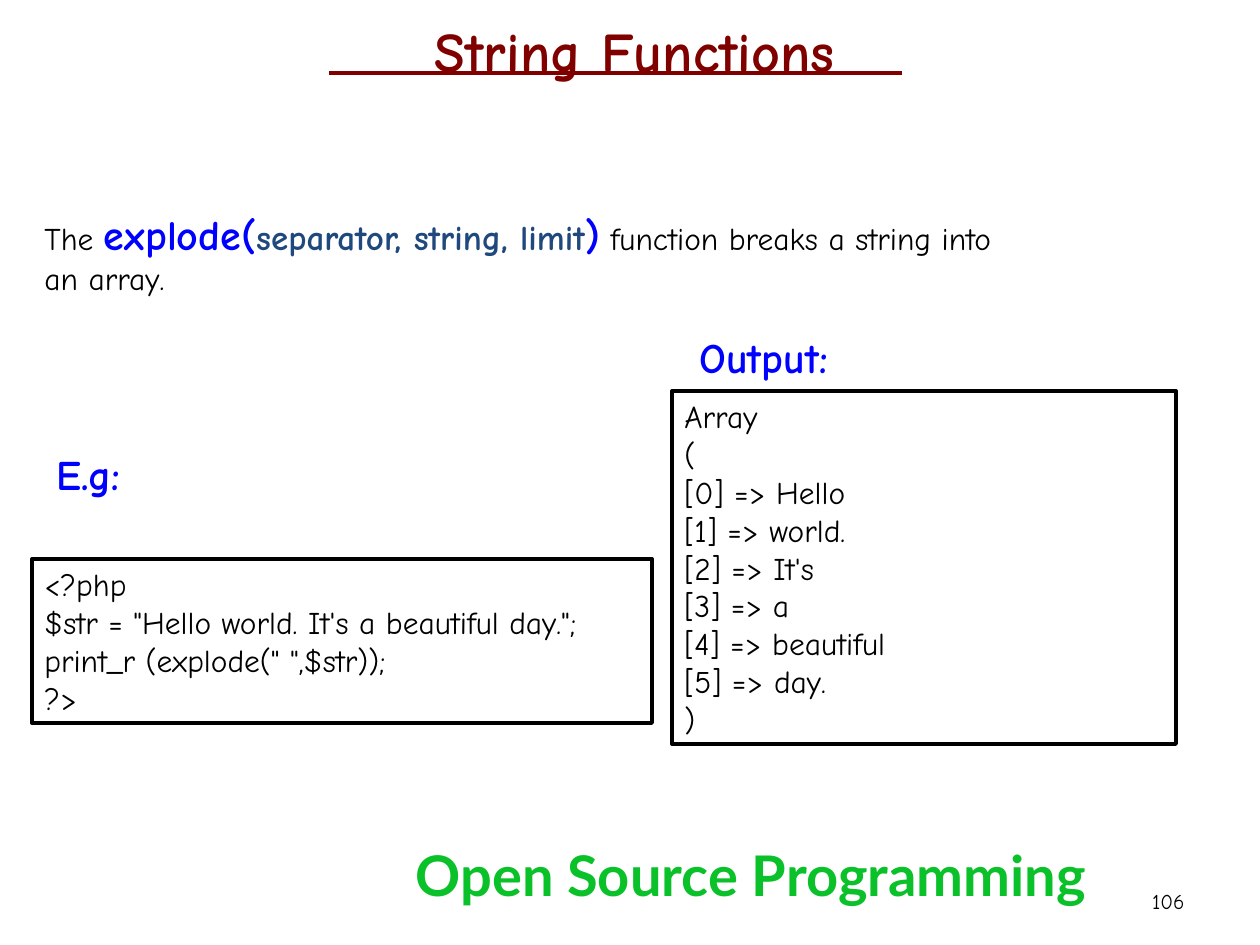
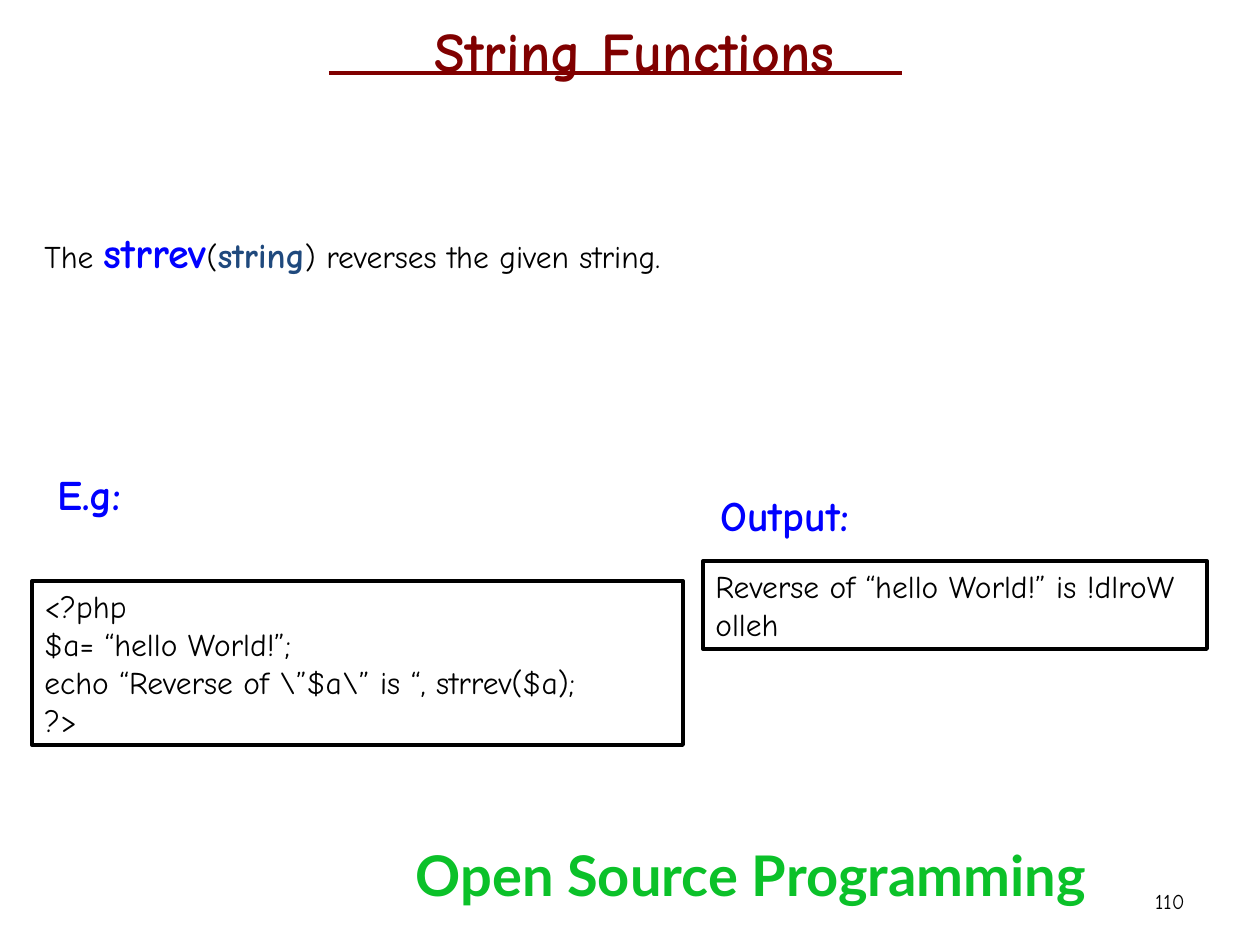
from lxml.etree import SubElement
from pptx import Presentation
from pptx.dml.color import RGBColor
from pptx.enum.shapes import MSO_CONNECTOR as Link, MSO_SHAPE as Kind
from pptx.enum.text import MSO_ANCHOR as Anchor, PP_ALIGN as Align
from pptx.oxml.ns import qn
from pptx.util import Pt

INK = {
    "text": "000000",
    "paper": "FFFFFF",
    "title": "800000",
    "key": "0000FF",
    "param": "1F497D",
    "foot": "0BC129",
}
HAND = "Comic Neue"
SANS = "Lato"

STYLES = {
    "plain": (18, "text", False, HAND),
    "name": (24, "key", True, HAND),
    "param": (20, "param", True, HAND),
    "title": (32, "title", True, HAND),
    "foot": (32, "foot", True, SANS),
    "page": (12, "text", False, HAND),
}

PAGES = [
    {
        "page": "106",
        "box": (32, 202, 998, 101),
        "runs": [
            ("The ", "plain"),
            ("explode(", "name"),
            ("separator, string, limit", "param"),
            (")", "name"),
            (" function breaks a string into an array.", "plain"),
        ],
        "panels": [
            ("E.g:", (32, 559, 620, 164), (12, -117), [
                "<?php",
                "$str = \"Hello world. It's a beautiful day.\";",
                "print_r (explode(\" \",$str));",
                "?>",
            ]),
            ("Output:", (672, 391, 504, 353), (15, -66), [
                "Array",
                "(",
                "[0] => Hello",
                "[1] => world.",
                "[2] => It's",
                "[3] => a",
                "[4] => beautiful",
                "[5] => day.",
                ")",
            ]),
        ],
    },
    {
        "page": "110",
        "box": (32, 220, 998, 63),
        "runs": [
            ("The ", "plain"),
            ("strrev", "name"),
            ("(", "plain"),
            ("string", "param"),
            (") reverses the given string.", "plain"),
        ],
        "panels": [
            ("E.g:", (32, 581, 651, 164), (13, -119), [
                "<?php",
                "$a= “hello World!”;",
                "echo “Reverse of \\”$a\\” is “, strrev($a);",
                "?>",
            ]),
            ("Output:", (703, 561, 504, 88), (5, -78), [
                "Reverse of “hello World!” is !dlroW olleh",
            ]),
        ],
    },
]


def px(count):
    return round(count * 914400 / 126)


def tint(name):
    return RGBColor.from_string(INK[name])


def dress(font, style):
    size, ink, bold, face = STYLES[style]
    font.size = Pt(size)
    font.color.rgb = tint(ink)
    font.bold = bold
    font.name = face


def write(slide, box, runs, align=Align.LEFT, anchor=Anchor.TOP):
    frame = slide.shapes.add_textbox(*map(px, box)).text_frame
    frame.word_wrap = True
    frame.vertical_anchor = anchor
    para = frame.paragraphs[0]
    para.alignment = align
    for text, style in runs:
        run = para.add_run()
        run.text = text
        dress(run.font, style)


def head(slide, box):
    left, top, wide, high = box
    write(slide, box, [("String Functions", "title")], Align.CENTER)
    rule = slide.shapes.add_connector(
        Link.STRAIGHT, px(left + 14), px(top + 63), px(left + 587), px(top + 63))
    rule.line.color.rgb = tint("title")
    rule.line.width = Pt(2)
    SubElement(rule.element.spPr, qn("a:effectLst"))


def foot(slide, box, page):
    left, top, wide, high = box
    write(slide, box, [("Open Source Programming", "foot")], Align.CENTER)
    write(slide, (left + 525, top + 42, 294, 50), [(page, "page")],
          Align.RIGHT, Anchor.MIDDLE)


def panel(slide, label, box, shift, lines):
    rect = slide.shapes.add_shape(Kind.RECTANGLE, *map(px, box))
    rect.shadow.inherit = False
    rect.fill.background()
    rect.line.color.rgb = tint("text")
    rect.line.width = Pt(2.25)
    frame = rect.text_frame
    frame.word_wrap = True
    frame.vertical_anchor = Anchor.MIDDLE
    frame.text = "\n".join(lines)
    for para in frame.paragraphs:
        para.alignment = Align.LEFT
        for run in para.runs:
            dress(run.font, "plain")
    spot = (box[0] + shift[0], box[1] + shift[1], 356, 63)
    write(slide, spot, [(label, "name")])


def lesson(deck, data):
    slide = deck.slides.add_slide(deck.slide_layouts[6])
    fill = slide.background.fill
    fill.solid()
    fill.fore_color.rgb = tint("paper")
    head(slide, (315, 10, 640, 81))
    write(slide, data["box"], data["runs"], anchor=Anchor.MIDDLE)
    for part in data["panels"]:
        panel(slide, *part)
    foot(slide, (378, 834, 746, 147), data["page"])


def main():
    deck = Presentation()
    deck.slide_width = px(1260)
    deck.slide_height = px(945)
    for data in PAGES:
        lesson(deck, data)
    deck.save("out.pptx")


if __name__ == "__main__":
    main()
